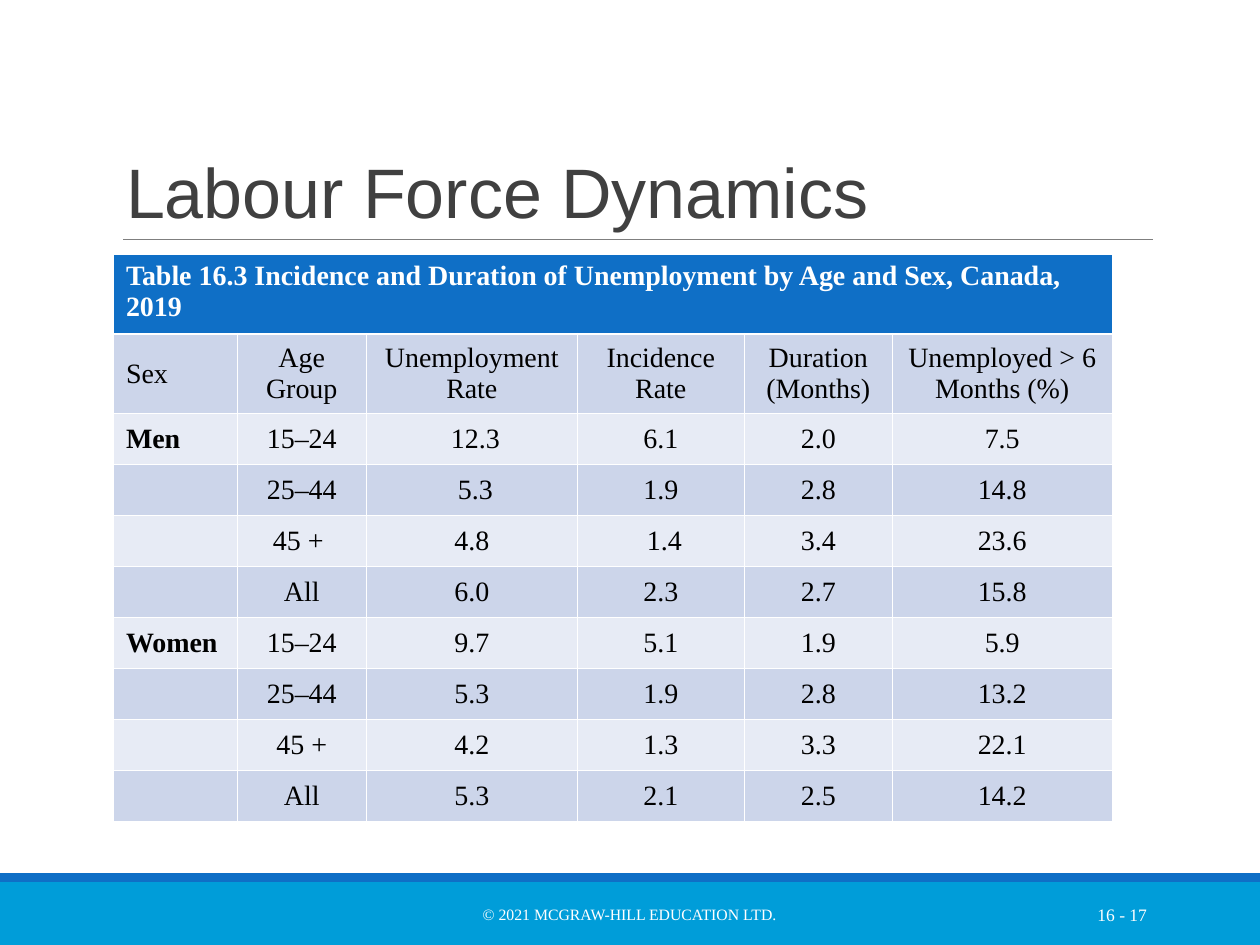
from lxml.etree import SubElement
from pptx import Presentation
from pptx.dml.color import RGBColor
from pptx.enum.shapes import MSO_CONNECTOR, MSO_SHAPE
from pptx.enum.text import MSO_ANCHOR as Anchor, PP_ALIGN as Align
from pptx.oxml.ns import qn
from pptx.util import Inches, Pt

SERIF = "Times New Roman"
WHITE, BLACK, GREY = "FFFFFF", "000000", "404040"
BLUE, SKY, RULE = "0F6FC6", "009DD9", "7F7F7F"
BANDS = ("CCD5EA", "E7EBF5")

TABLE_TITLE = "Table 16.3 Incidence and Duration of Unemployment by Age and Sex, Canada, 2019"
TABLE_ROWS = [
    ("Sex", "Age Group", "Unemployment Rate", "Incidence Rate",
     "Duration (Months)", "Unemployed > 6 Months (%)"),
    ("Men", "15–24", " 12.3", "6.1", "2.0", "7.5"),
    ("", "25–44", " 5.3", "1.9", "2.8", "14.8"),
    ("", "45 + ", "4.8", " 1.4", "3.4", "23.6"),
    ("", "All", "6.0", "2.3", "2.7", "15.8"),
    ("Women", "15–24", "9.7", "5.1", "1.9", "5.9"),
    ("", "25–44", "5.3", "1.9", "2.8", "13.2"),
    ("", "45 +", "4.2", "1.3", "3.3", "22.1"),
    ("", "All", "5.3", "2.1", "2.5", "14.2"),
]
COLUMN_WIDTHS = (0.98, 1.03, 1.67, 1.33, 1.17, 1.75)
TABLE_HEIGHT, HEADER_HEIGHT = 4.5, 0.63


def color(value):
    return RGBColor.from_string(value)


def write(frame, text, size, font_color, font_name=SERIF, align=Align.LEFT, bold=False):
    para = frame.paragraphs[0]
    para.text = text
    para.alignment = align
    for span in para.runs:
        span.font.name = font_name
        span.font.size = Pt(size)
        span.font.bold = bold
        span.font.color.rgb = color(font_color)


def add_band(slide, top, height, fill):
    band = slide.shapes.add_shape(
        MSO_SHAPE.RECTANGLE, 0, Inches(top), Inches(10), Inches(height))
    band.shadow.inherit = False
    band.fill.solid()
    band.fill.fore_color.rgb = color(fill)
    band.line.fill.background()


def add_rule(slide, left, right, y):
    rule = slide.shapes.add_connector(
        MSO_CONNECTOR.STRAIGHT, Inches(left), Inches(y), Inches(right), Inches(y))
    rule.line.color.rgb = color(RULE)
    rule.line.width = Pt(0.5)
    SubElement(rule._element.spPr, qn("a:effectLst"))


def add_title(slide, text):
    title = slide.shapes.title
    title.left, title.top = Inches(0.9), Inches(0.31)
    title.width, title.height = Inches(8.25), Inches(1.59)
    frame = title.text_frame
    frame.word_wrap = True
    frame.vertical_anchor = Anchor.BOTTOM
    write(frame, text, 40, GREY, "Arial")
    frame.paragraphs[0].line_spacing = 0.85


def add_footer(slide, left, width, text, size, align):
    box = slide.shapes.add_textbox(Inches(left), Inches(7.06), Inches(width), Inches(0.4))
    frame = box.text_frame
    frame.word_wrap = True
    frame.vertical_anchor = Anchor.MIDDLE
    write(frame, text, size, WHITE, align=align)


def set_borders(cell, top=0.45, bottom=0.45):
    """Draw white borders; must run before the cell is filled."""
    properties = cell._tc.get_or_add_tcPr()
    for side, width in (("L", 0.45), ("R", 0.45), ("T", top), ("B", bottom)):
        border = SubElement(properties, qn(f"a:ln{side}"), w=str(Pt(width)))
        fill = SubElement(border, qn("a:solidFill"))
        SubElement(fill, qn("a:srgbClr"), val=WHITE)


def fill_cell(cell, fill):
    cell.fill.solid()
    cell.fill.fore_color.rgb = color(fill)


def add_unemployment_table(slide):
    row_count, column_count = len(TABLE_ROWS) + 1, len(COLUMN_WIDTHS)
    table = slide.shapes.add_table(
        row_count, column_count, Inches(0.9), Inches(2.02),
        Inches(sum(COLUMN_WIDTHS)), Inches(TABLE_HEIGHT)).table
    for column, width in zip(table.columns, COLUMN_WIDTHS):
        column.width = Inches(width)
    data_height = (TABLE_HEIGHT - 2 * HEADER_HEIGHT) / (row_count - 2)
    for index, row in enumerate(table.rows):
        row.height = Inches(HEADER_HEIGHT if index < 2 else data_height)

    for cell in table.rows[0].cells:
        set_borders(cell, bottom=1.47)
        fill_cell(cell, BLUE)
    heading = table.cell(0, 0)
    heading.merge(table.cell(0, column_count - 1))
    write(heading.text_frame, TABLE_TITLE, 16, WHITE, bold=True)

    for row_index, values in enumerate(TABLE_ROWS):
        for column_index, value in enumerate(values):
            cell = table.cell(row_index + 1, column_index)
            set_borders(cell, top=0.45 if row_index else 1.47)
            fill_cell(cell, BANDS[row_index % 2])
            cell.vertical_anchor = Anchor.MIDDLE
            if value:
                write(cell.text_frame, value, 16, BLACK,
                      align=Align.CENTER if column_index else Align.LEFT,
                      bold=row_index > 0 and column_index == 0)
            else:
                cell.margin_top = cell.margin_bottom = 0


def main():
    deck = Presentation()
    deck.slide_width, deck.slide_height = Inches(10), Inches(7.5)
    slide = deck.slides.add_slide(deck.slide_layouts[5])
    add_band(slide, 7, 0.5, SKY)
    add_band(slide, 6.93, 0.07, BLUE)
    add_rule(slide, 0.98, 9.15, 1.9)
    add_title(slide, "Labour Force Dynamics")
    add_unemployment_table(slide)
    add_footer(slide, 3.02, 3.95, "© 2021 MCGRAW-HILL EDUCATION LTD.", 9, Align.CENTER)
    add_footer(slide, 8.12, 1.08, "16 - 17", 10, Align.RIGHT)
    deck.save("out.pptx")


if __name__ == "__main__":
    main()
